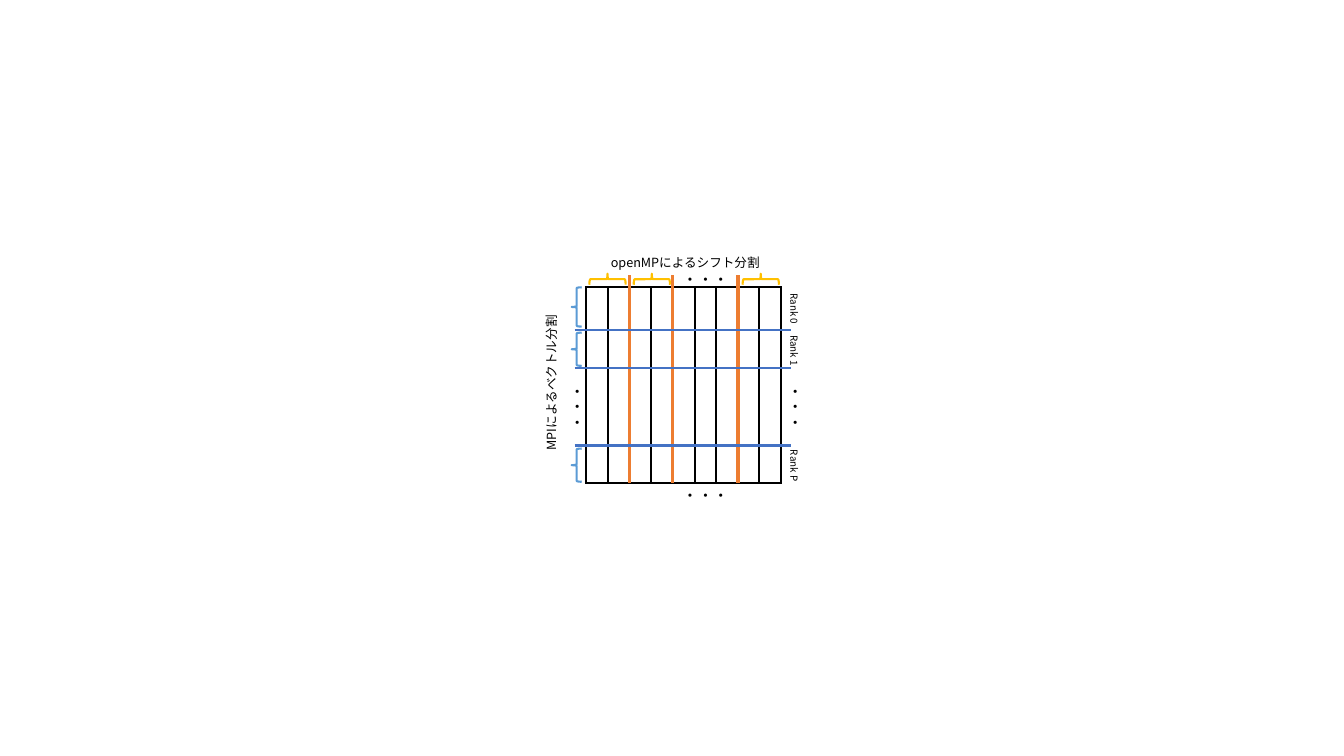
from lxml import etree
from pptx import Presentation
from pptx.dml.color import RGBColor
from pptx.enum.shapes import MSO_CONNECTOR, MSO_SHAPE
from pptx.enum.text import MSO_AUTO_SIZE
from pptx.oxml.ns import qn
from pptx.util import Emu, Pt

STRAIGHT = MSO_CONNECTOR.STRAIGHT
LEFT_BRACE = MSO_SHAPE.LEFT_BRACE
GROW = MSO_AUTO_SIZE.SHAPE_TO_FIT_TEXT

BLACK = RGBColor(0x00, 0x00, 0x00)
ORANGE = RGBColor(0xED, 0x7D, 0x31)
GOLD = RGBColor(0xFF, 0xC0, 0x00)
BLUE = RGBColor(0x44, 0x72, 0xC4)
LIGHT_BLUE = RGBColor(0x5B, 0x9B, 0xD5)

EMU_PER_PX = 9144
BLANK_LAYOUT = 6


def px(length):
    return Emu(round(length * EMU_PER_PX))


def write_text(frame, text, font="Noto Sans CJK JP", size=9, color=BLACK):
    run = frame.paragraphs[0].add_run()
    run.text = text
    run.font.name = font
    run.font.size = Pt(size)
    run.font.color.rgb = color
    properties = run.font._element
    etree.SubElement(properties, qn("a:ea")).set("typeface", font)


class Diagram:
    thin = 1.5
    thick = 2.25

    def __init__(self, slide):
        self.shapes = slide.shapes

    def line(self, start, end, color=BLACK, width=thin):
        rule = self.shapes.add_connector(STRAIGHT, *map(px, start + end))
        rule.line.color.rgb = color
        rule.line.width = Pt(width)
        etree.SubElement(rule._element.spPr, qn("a:effectLst"))

    def brace(self, left, top, width, height, color, rotation=0):
        brace = self.shapes.add_shape(LEFT_BRACE, *map(px, (left, top, width, height)))
        brace.rotation = rotation
        brace.shadow.inherit = False
        brace.fill.background()
        brace.line.color.rgb = color
        brace.line.width = Pt(self.thin)

    def label(self, text, left, top, width, height, rotation=0, **style):
        box = self.shapes.add_textbox(*map(px, (left, top, width, height)))
        box.rotation = rotation
        box.text_frame.word_wrap = False
        box.text_frame.auto_size = GROW
        write_text(box.text_frame, text, **style)


def build_matrix(diagram):
    left, right, top, bottom = 581, 775, 285, 479
    shifts = 9
    column_edges = [round(left + i * (right - left) / shifts) for i in range(shifts + 1)]
    thread_borders = [column_edges[i] for i in (2, 4, 7)]

    for edge in column_edges:
        diagram.line((edge, top - 1), (edge, bottom))
    for edge in (top, bottom):
        diagram.line((left - 1, edge), (right + 1, edge))
    for border in thread_borders:
        diagram.line((border, 273), (border, bottom), ORANGE, diagram.thick)
    for border in (327, 365, 442):
        diagram.line((570, border), (785, border), BLUE)


def build_braces(diagram):
    for top, height in ((285, 39), (330, 33), (445, 33)):
        diagram.brace(567, top, 10, height, LIGHT_BLUE)
    for left in (597, 641, 749):
        diagram.brace(left, 259, 11, 36, GOLD, rotation=90)


def build_labels(diagram):
    diagram.label("openMPによるシフト分割", 596, 248, 171, 25)
    diagram.label("MPIによるベクトル分割", 467, 364, 160, 25, rotation=270)
    for rank, top in (("0", 296), ("1", 337), ("P", 451)):
        diagram.label(f"Rank {rank}", 762, top, 51, 22, rotation=90, size=7)
    for left, top, rotation in ((667, 263, 0), (540, 389, 270), (756, 389, 270), (667, 477, 0)):
        diagram.label("・・・", left, top, 66, 29, rotation=rotation, size=11)


def main():
    presentation = Presentation()
    presentation.slide_width = px(1333)
    presentation.slide_height = px(750)
    slide = presentation.slides.add_slide(presentation.slide_layouts[BLANK_LAYOUT])
    diagram = Diagram(slide)
    build_matrix(diagram)
    build_braces(diagram)
    build_labels(diagram)
    presentation.save("out.pptx")


if __name__ == "__main__":
    main()
